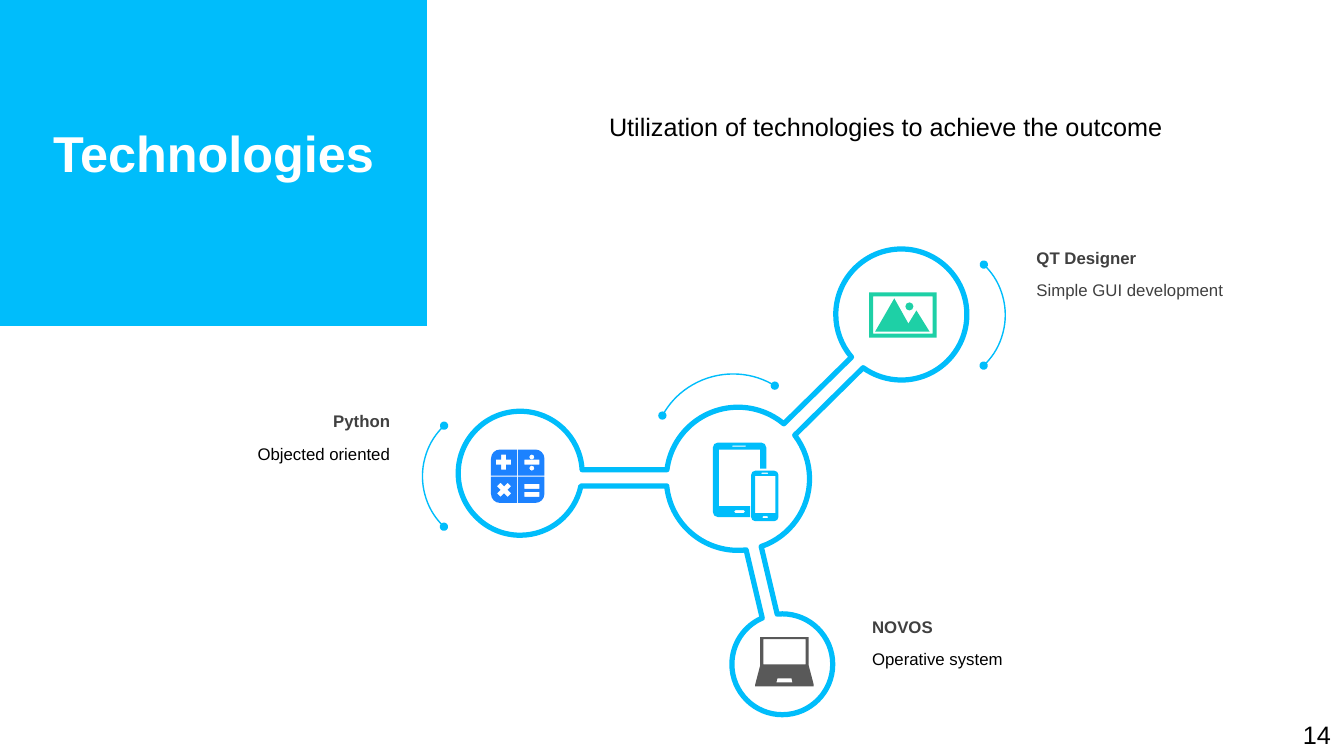
from math import atan2, cos, degrees, floor, radians, sin, tan

from pptx import Presentation
from pptx.dml.color import RGBColor
from pptx.enum.shapes import MSO_SHAPE as SHAPE
from pptx.enum.text import PP_ALIGN as ALIGN
from pptx.oxml.ns import qn
from pptx.util import Pt
from lxml.etree import SubElement

EMU_PER_PX = 9144
SKY, WHITE, BLACK, CHARCOAL = "00BDFB", "FFFFFF", "000000", "404040"
GREEN, GREY, BLUE = "1ED0A6", "595959", "1C82FF"


def px(value):
    return round(value * EMU_PER_PX)


def color(hex_code):
    return RGBColor.from_string(hex_code)


def style(shape, fill=None, line=None, width=1):
    shape.shadow.inherit = False
    if fill:
        shape.fill.solid()
        shape.fill.fore_color.rgb = color(fill)
    else:
        shape.fill.background()
    if line:
        shape.line.color.rgb = color(line)
        shape.line.width = Pt(width)
    else:
        shape.line.fill.background()


def arc(x, y, radius, start, sweep):
    def at(angle, along=0):
        c, s = cos(radians(angle)), sin(radians(angle))
        return x + radius * (c - along * s), y + radius * (s + along * c)

    nodes, end = [at(start)], start + sweep
    while end - start > 0.01:
        stop = min(end, 90 * floor(start / 90 + 0.001) + 90)
        handle = 4 / 3 * tan(radians(stop - start) / 4)
        nodes.append(at(start, handle) + at(stop, -handle) + at(stop))
        start = stop
    return nodes


def clockwise(center, radius, start, end):
    x, y = center
    first, last = (degrees(atan2(b - y, a - x)) for a, b in (start, end))
    return arc(x, y, radius, first, (last - first) % 360)


def circle(x, y, radius):
    return arc(x, y, radius, 0, 360)


def box(left, top, right, bottom, radii=(0, 0, 0, 0)):
    corners = [(left, top, 1, 1), (right, top, -1, 1),
               (right, bottom, -1, -1), (left, bottom, 1, -1)]
    nodes = []
    for i, ((x, y, dx, dy), radius) in enumerate(zip(corners, radii)):
        if radius:
            nodes += arc(x + dx * radius, y + dy * radius, radius, 180 + 90 * i, 90)
        else:
            nodes.append((x, y))
    return nodes


def rounded(left, top, right, bottom, radius):
    return box(left, top, right, bottom, (radius,) * 4)


def plus(x, y, reach, half, turn=0):
    quarter = [(half, -reach), (half, -half), (reach, -half)]
    nodes = []
    for i in range(4):
        angle = radians(90 * i + turn)
        nodes += [(x + a * cos(angle) - b * sin(angle),
                   y + a * sin(angle) + b * cos(angle)) for a, b in quarter]
    return nodes


def add_outline(slide, contours, **look):
    contours = [[tuple(map(px, node)) for node in nodes] for nodes in contours]
    builder = slide.shapes.build_freeform(*contours[0][0])
    for nodes in contours:
        builder.move_to(*nodes[0])
        builder.add_line_segments([node[-2:] for node in nodes[1:]])
    shape = builder.convert_to_shape()
    path = next(shape._element.iter(qn("a:path")))
    for child in list(path):
        path.remove(child)
    for nodes in contours:
        for i, node in enumerate(nodes):
            tag = "a:cubicBezTo" if len(node) == 6 else "a:lnTo" if i else "a:moveTo"
            command = SubElement(path, qn(tag))
            for x, y in zip(node[::2], node[1::2]):
                SubElement(command, qn("a:pt"), x=str(x - shape.left), y=str(y - shape.top))
        SubElement(path, qn("a:close"))
    style(shape, **look)


def add_text(slide, text, place, size, hex_code, align=ALIGN.CENTER,
             bold=False, inset=10, spacing=None):
    frame = slide.shapes.add_textbox(*map(px, place)).text_frame
    frame.word_wrap = True
    frame.margin_left = frame.margin_right = px(inset)
    paragraph = frame.paragraphs[0]
    paragraph.text = text
    paragraph.alignment = align
    paragraph.line_spacing = spacing
    font = paragraph.font
    font.name, font.size, font.bold = "Arial", Pt(size), bold
    font.color.rgb = color(hex_code)


def add_label(slide, name, detail, left, top, width, hex_code, align=ALIGN.LEFT):
    add_text(slide, detail, (left, top + 32, width, 30), 12, hex_code, align, inset=12)
    add_text(slide, name, (left, top, width, 30), 12, CHARCOAL, align, True, 12)


def add_panel(slide, place, fill, line=None):
    panel = slide.shapes.add_shape(SHAPE.RECTANGLE, *map(px, place))
    style(panel, fill=fill, line=line)


def add_dotted_arc(slide, left, top, size, rotation):
    shape = slide.shapes.add_shape(SHAPE.ARC, *map(px, (left, top, size, size)))
    shape.adjustments[0] = 161.374
    shape.adjustments[1] = 0.749
    shape.rotation = rotation
    style(shape, line=SKY)
    line = shape.line._get_or_add_ln()
    for end in ("a:headEnd", "a:tailEnd"):
        SubElement(line, qn(end), type="oval")


def add_network(slide):
    hub, left, right, bottom = (732, 475), (516, 469.5), (894, 312), (776, 659)
    stretches = [
        (right, 65, (845, 354), (856, 365)),
        (hub, 71, (788, 432), (755, 542)),
        (bottom, 50, (771, 610), (756, 613)),
        (hub, 71, (740, 545), (662, 482)),
        (left, 61.5, (576, 482), (577, 466)),
        (hub, 71, (662, 466), (777, 421)),
    ]
    nodes = [node for stretch in stretches for node in clockwise(*stretch)]
    add_outline(slide, [nodes], line=SKY, width=3.75)


def add_devices_icon(slide):
    tablet = (arc(712, 444, 5, 180, 90) + arc(755, 444, 5, 270, 90)
              + [(760, 465), (754, 465), (754, 446), (713, 446),
                 (713, 502), (744, 502), (744, 513)]
              + arc(712, 508, 5, 90, 90))
    add_outline(slide, [
        tablet,
        rounded(726, 442, 740, 443, 0.5),
        rounded(728, 506, 739, 509, 1.5),
        rounded(745, 467, 772, 517, 4),
        box(749, 472, 769, 509),
        rounded(755, 469, 762, 470, 0.5),
        rounded(756, 512, 762, 514, 1),
    ], fill=SKY)


def add_picture_icon(slide):
    add_outline(slide, [
        box(862, 290, 929, 335),
        box(866, 294, 925, 331),
        circle(902, 304, 4),
        [(887, 296), (901, 321), (909, 308), (922, 329), (868, 329)],
    ], fill=GREEN)


def add_laptop_icon(slide):
    add_outline(slide, [
        [(754, 632), (802, 632), (802, 660), (807, 679), (807, 681),
         (749, 681), (749, 679), (754, 660)],
        box(757, 634, 799, 659),
        [(771, 673), (785, 673), (786, 677), (770, 677)],
    ], fill=GREY)


def add_calculator_icon(slide):
    keys = [(487, 446), (514, 446), (514, 473), (487, 473)]
    contours = [box(x, y, x + 26, y + 26, [9 if i == key else 0 for i in range(4)])
                for key, (x, y) in enumerate(keys)]
    contours += [plus(499.5, 458.5, 7.5, 2.5), plus(500, 486, 7.5, 2.5, 45)]
    contours += [circle(527.5, y, 2.5) for y in (453.5, 464.5)]
    contours += [box(520, y, 535, y + 5) for y in (456, 480, 488)]
    add_outline(slide, contours, fill=BLUE)


def main():
    presentation = Presentation()
    presentation.slide_width, presentation.slide_height = px(1333), px(750)
    slide = presentation.slides.add_slide(presentation.slide_layouts[6])
    add_panel(slide, (0, 0, 425, 750), SKY)
    add_text(slide, "Technologies", (10, 123, 404, 65), 36, WHITE, bold=True, spacing=0.9)
    add_panel(slide, (424, -8, 909, 758), WHITE, WHITE)
    add_text(slide, "Utilization of technologies to achieve the outcome",
             (532, 106, 693, 40), 18, BLACK)
    add_panel(slide, (0, 324, 909, 427), WHITE, WHITE)
    add_network(slide)
    add_label(slide, "QT Designer", "Simple GUI development", 1016, 241, 278, CHARCOAL)
    add_label(slide, "Python", "Objected oriented", 112, 403, 287, BLACK, ALIGN.RIGHT)
    add_label(slide, "NOVOS", "Operative system", 853, 607, 336, BLACK)
    add_dotted_arc(slide, 647, 371, 160, 300)
    add_dotted_arc(slide, 858, 243, 139, 45)
    add_dotted_arc(slide, 419, 403, 139, 225)
    add_devices_icon(slide)
    add_picture_icon(slide)
    add_laptop_icon(slide)
    add_calculator_icon(slide)
    add_text(slide, "14", (1279, 709, 54, 40), 18, BLACK)
    presentation.save("out.pptx")


if __name__ == "__main__":
    main()
